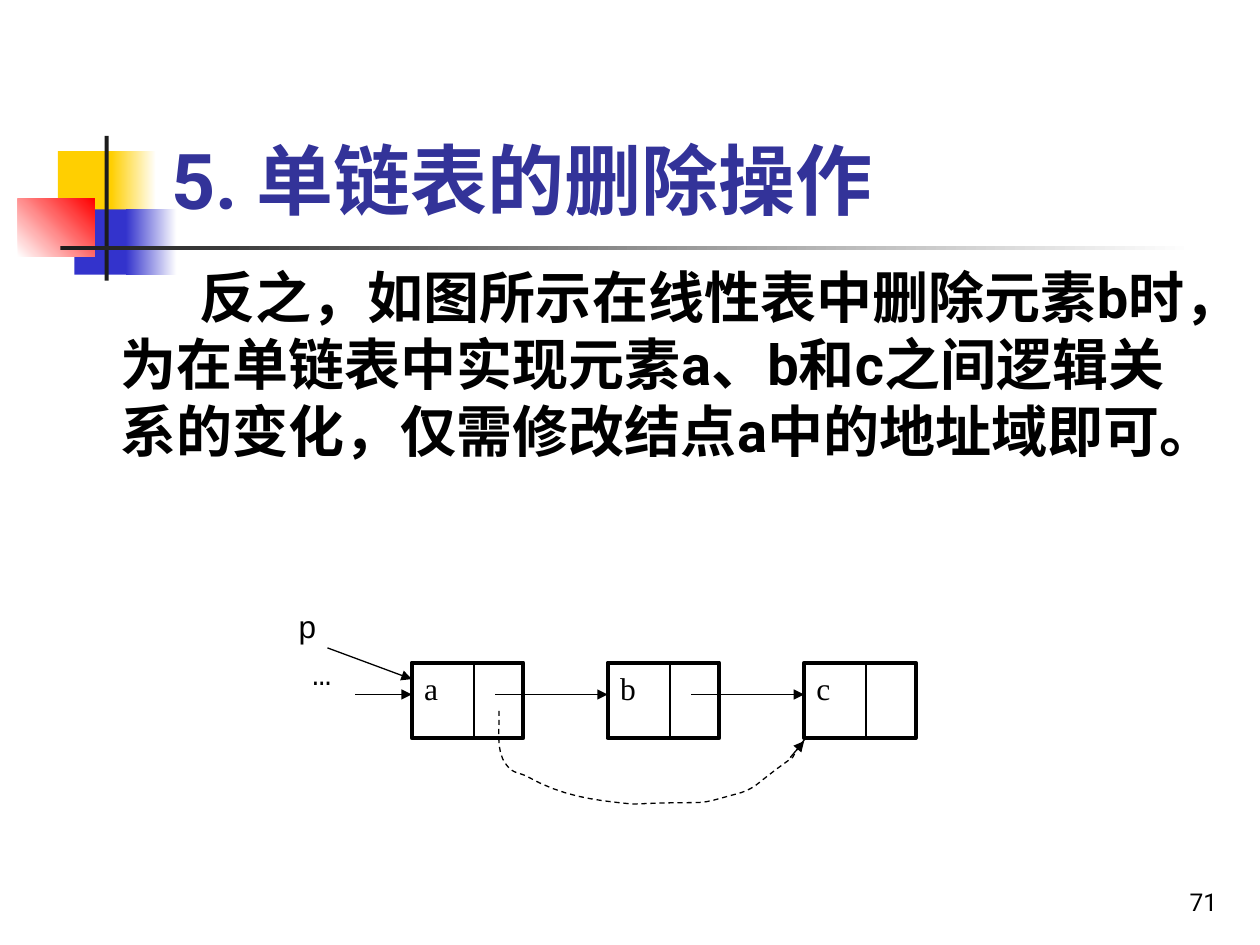
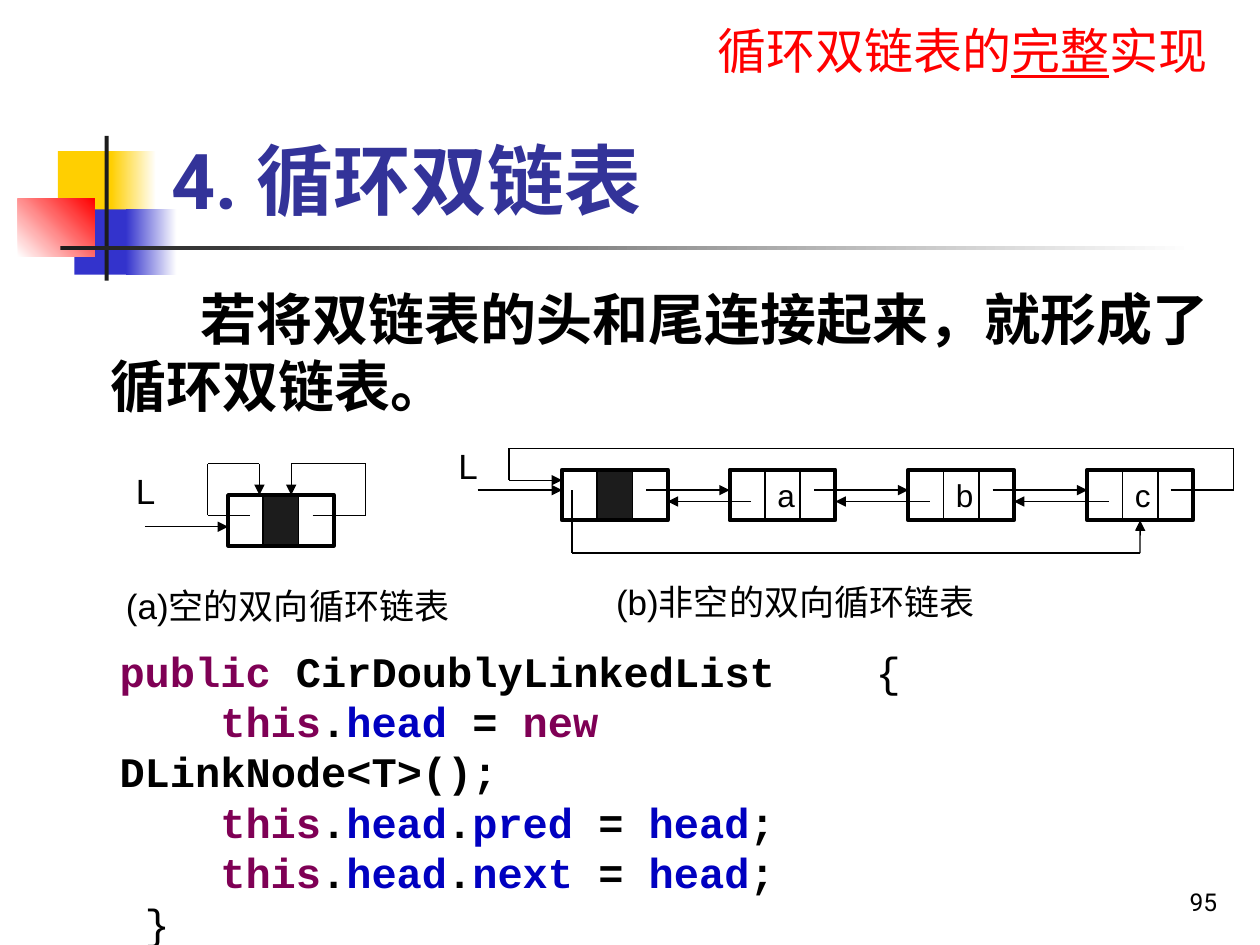
from itertools import pairwise

from lxml.etree import SubElement
from pptx import Presentation
from pptx.dml.color import RGBColor
from pptx.enum.dml import MSO_LINE_DASH_STYLE as Dash
from pptx.enum.shapes import MSO_CONNECTOR as Connector, MSO_SHAPE as Shape
from pptx.enum.text import MSO_ANCHOR as Anchor, PP_ALIGN as Align
from pptx.oxml.ns import qn
from pptx.util import Cm, Pt

COLORS = {
    "black": "000000", "white": "FFFFFF", "ink": "1C1C1C", "title": "333399",
    "yellow": "FFCF01", "blue": "3333CC", "red": "FF0000",
    "keyword": "7F0055", "field": "0000C0",
}

# Left, top, width, height; first colour, last colour, gradient angle
ORNAMENTS = [
    ((1.17, 3.05, 1.22, 1.32), "yellow", None, 0),
    ((2.24, 3.05, 0.91, 1.32), "yellow", "white", 0),
    ((1.5, 4.22, 1.17, 1.32), "blue", None, 0),
    ((2.54, 4.22, 1.02, 1.32), "blue", "white", 0),
    ((0.36, 4.01, 1.55, 1.17), "white", "red", 45),
    ((2.11, 2.74, 0.08, 2.92), "ink", None, 0),
    ((1.22, 4.95, 22.86, 0.09), "ink", "white", 0),
]

DELETION = {
    "title": "5. 单链表的删除操作",
    "body": "反之，如图所示在线性表中删除元素b时，为在单链表中实现元素a、b和c之间"
            "逻辑关系的变化，仅需修改结点a中的地址域即可。",
    "body_at": (2.18, 5.16, 22.43, 5.94), "indent": 1.6, "number": "71",
}
CIRCULAR = {
    "title": "4. 循环双链表",
    "body": "若将双链表的头和尾连接起来，就形成了循环双链表。",
    "body_at": (1.98, 5.61, 22.89, 3.2), "indent": 1.81, "number": "95",
}

SINGLE = {"lefts": (8.3, 12.25, 16.21), "labels": "abc", "top": 13.36,
          "size": (2.25, 1.52), "dividers": (1.25,)}
DOUBLE = {"lefts": (11.33, 14.71, 18.31, 21.92), "labels": ("", "a", "b", "c"),
          "top": 9.47, "size": (2.13, 1.02), "dividers": (0.71, 1.42)}

BYPASS_START = (10.06, 14.33)
BYPASS_CURVES = [
    ((10.08, 14.68), (9.98, 15.14), (10.21, 15.42)),
    ((10.34, 15.6), (10.46, 15.57), (10.62, 15.65)),
    ((11.33, 16.05), (11.94, 16.13), (12.75, 16.21)),
    ((14.55, 16.13), (13.84, 16.28), (14.94, 15.98)),
    ((15.22, 15.88), (15.24, 15.82), (15.57, 15.57)),
    ((15.7, 15.47), (15.98, 15.27), (15.98, 15.27)),
    ((16.15, 14.96), (16.08, 15.09), (16.26, 14.86)),
]

EMPTY_LOOPS = [
    [(6.3, 10.39), (7.37, 10.39), (7.37, 9.35), (5.87, 9.35), (5.87, 9.98)],
    [(5.03, 10.39), (4.19, 10.39), (4.19, 9.35), (5.23, 9.35), (5.23, 9.98)],
    [(2.92, 10.62), (4.6, 10.62)],
]
TAIL_TO_HEAD = [(23.6, 9.88), (24.87, 9.88), (24.87, 9.04), (10.26, 9.04),
                (10.26, 9.68), (11.33, 9.68)]
HEAD_TO_TAIL = [(11.53, 9.88), (11.53, 11.15), (22.98, 11.15), (22.98, 10.49)]
CAPTIONS = [
    ("L", (2.49, 9.35, 1.27, 1.09)),
    ("(a)空的双向循环链表", (2.29, 11.66, 7.62, 1.09)),
    ("L", (8.99, 8.84, 1.07, 1.09)),
    ("(b)非空的双向循环链表", (12.17, 11.58, 12.7, 1.02)),
]

# Text, colour, bold
DOT = (".", "black", True)
EQUALS = (" = ", "black", True)
HEAD = ("head", "field", True)
THIS = [("    ", "black", False), ("this", "keyword", True), DOT, HEAD]


def self_link(field):
    return THIS + [DOT, (field, "field", True), EQUALS, HEAD, (";", "black", True)]


CODE = [
    [("public ", "keyword", True), ("CirDoublyLinkedList    ", "black", True),
     ("{", "black", False)],
    THIS + [EQUALS, ("new ", "keyword", True), ("DLinkNode<T>();", "black", True)],
    self_link("pred"),
    self_link("next"),
    [(" }", "black", False)],
]


def color(name):
    return RGBColor.from_string(COLORS[name])


def style(font, name, size, ink="black", bold=False):
    font.name, font.size, font.bold = name, Pt(size), bold
    font.color.rgb = color(ink)


def add_box(page, at):
    frame = page.shapes.add_textbox(*map(Cm, at)).text_frame
    frame.word_wrap = True
    return frame


def add_text(page, text, at, name, size, ink="black", bold=False,
             align=Align.LEFT, anchor=Anchor.TOP):
    frame = add_box(page, at)
    frame.vertical_anchor = anchor
    para = frame.paragraphs[0]
    para.text, para.alignment = text, align
    style(para.font, name, size, ink, bold)
    return para


def add_block(page, at, first, last=None, angle=0):
    """Borderless rectangle, plain or shading from first to last."""
    block = page.shapes.add_shape(Shape.RECTANGLE, *map(Cm, at))
    block.shadow.inherit = False
    block.line.fill.background()
    if last is None:
        block.fill.solid()
        block.fill.fore_color.rgb = color(first)
        return
    block.fill.gradient()
    block.fill.gradient_angle = angle
    for stop, name in zip(block.fill.gradient_stops, (first, last)):
        stop.color.rgb = color(name)


def add_route(page, points, arrow=True, width=0.75):
    """Chain of straight lines; returns the last, which bears the arrowhead."""
    for start, end in pairwise(points):
        line = page.shapes.add_connector(Connector.STRAIGHT, *map(Cm, start + end))
        line.line.color.rgb = color("black")
        line.line.width = Pt(width)
        SubElement(line._element.spPr, qn("a:effectLst"))
    if arrow:
        SubElement(line.line._get_or_add_ln(), qn("a:tailEnd"), type="triangle")
    return line


def add_node(page, left, top, size, dividers, label="", label_left=0, font="Arial"):
    node = page.shapes.add_shape(Shape.RECTANGLE, *map(Cm, (left, top, *size)))
    node.shadow.inherit = False
    node.fill.background()
    node.line.color.rgb = color("black")
    node.line.width = Pt(2.25)
    for offset in dividers:
        x = left + offset
        add_route(page, [(x, top), (x, top + size[1])], arrow=False, width=1)
    if label:
        frame = node.text_frame
        frame.vertical_anchor = Anchor.TOP
        frame.margin_left = Cm(label_left + 0.25)
        para = frame.paragraphs[0]
        para.text, para.alignment = label, Align.LEFT
        style(para.font, font, 18)
    return node


def add_head_node(page, left, top):
    first, second = DOUBLE["dividers"]
    add_block(page, (left + first, top, second - first, DOUBLE["size"][1]), "ink")
    return add_node(page, left, top, DOUBLE["size"], DOUBLE["dividers"])


def add_page(deck, content):
    page = deck.slides.add_slide(deck.slide_layouts[6])
    for ornament in ORNAMENTS:
        add_block(page, *ornament)
    add_text(page, content["title"], (3.2, 2.31, 21.64, 2.34), "Roboto", 44,
             "title", True, anchor=Anchor.BOTTOM)
    body = add_text(page, content["body"], content["body_at"], "Roboto", 32, bold=True)
    body._p.get_or_add_pPr().set("indent", str(Cm(content["indent"])))
    add_text(page, content["number"], (19.51, 17.32, 5.28, 1.27), "Roboto", 14,
             align=Align.RIGHT, anchor=Anchor.BOTTOM)
    return page


def bezier_points(start, curves, steps=8):
    points = [start]
    for first, second, end in curves:
        corners = (points[-1], first, second, end)
        for step in range(1, steps + 1):
            t = step / steps
            weights = ((1 - t) ** 3, 3 * t * (1 - t) ** 2, 3 * t * t * (1 - t), t ** 3)
            points.append(tuple(sum(w * corner[axis] for w, corner in zip(weights, corners))
                                for axis in (0, 1)))
    return points


def draw_deletion(page):
    lefts, top = SINGLE["lefts"], SINGLE["top"]
    for left, label in zip(lefts, SINGLE["labels"]):
        add_node(page, left, top, SINGLE["size"], SINGLE["dividers"], label,
                 font="Times New Roman")
    link_y = top + 0.64
    for left, following in pairwise(lefts):
        add_route(page, [(left + 1.68, link_y), (following, link_y)])
    add_route(page, [(7.16, link_y), (lefts[0], link_y)])
    add_route(page, [(6.6, 13.06), (lefts[0], 13.69)])

    start, *rest = [(Cm(x), Cm(y)) for x, y in bezier_points(BYPASS_START, BYPASS_CURVES)]
    builder = page.shapes.build_freeform(*start)
    builder.add_line_segments(rest, close=False)
    bypass = builder.convert_to_shape()
    bypass.shadow.inherit = False
    bypass.fill.background()
    bypass.line.color.rgb = color("black")
    bypass.line.width = Pt(0.75)
    bypass.line.dash_style = Dash.DASH
    add_route(page, [(15.93, 15.27), (16.21, 14.94)])

    add_text(page, "p", (5.77, 12.12, 1.14, 1.52), "Arial", 18)
    add_text(page, "…", (6.05, 13.06, 1.7, 1.52), "Courier New", 18)


def draw_circular(page):
    add_head_node(page, 4.6, 9.98)
    for loop in EMPTY_LOOPS:
        add_route(page, loop)

    lefts, top, dividers = DOUBLE["lefts"], DOUBLE["top"], DOUBLE["dividers"]
    add_head_node(page, lefts[0], top)
    for left, label in zip(lefts[1:], DOUBLE["labels"][1:]):
        last_node = add_node(page, left, top, DOUBLE["size"], dividers, label, dividers[0])
    next_y, pred_y = top + 0.41, top + 0.64
    for left, following in pairwise(lefts):
        add_route(page, [(left + 1.7, next_y), (following, next_y)])
        add_route(page, [(following + 0.43, pred_y), (left + DOUBLE["size"][0], pred_y)])
    add_route(page, [(9.63, next_y), (lefts[0], next_y)])
    add_route(page, TAIL_TO_HEAD)
    add_route(page, HEAD_TO_TAIL).end_connect(last_node, 2)
    for text, at in CAPTIONS:
        add_text(page, text, at, "Arial", 20)


def add_heading(page):
    para = add_box(page, (14.22, 0.28, 11, 1.45)).paragraphs[0]
    for text, underlined in (("循环双链表的", False), ("完整", True), ("实现", False)):
        span = para.add_run()
        span.text = text
        span.font.underline = underlined
    style(para.font, "Times New Roman", 28, "red")


def add_code(page):
    frame = add_box(page, (2.16, 12.88, 17.3, 5.46))
    for index, line in enumerate(CODE):
        para = frame.add_paragraph() if index else frame.paragraphs[0]
        for text, ink, bold in line:
            span = para.add_run()
            span.text = text
            style(span.font, "Courier New", 24, ink, bold)


def main():
    deck = Presentation()
    deck.slide_width, deck.slide_height = Cm(25.4), Cm(19.05)
    draw_deletion(add_page(deck, DELETION))
    page = add_page(deck, CIRCULAR)
    draw_circular(page)
    add_heading(page)
    add_code(page)
    deck.save("out.pptx")


if __name__ == "__main__":
    main()
